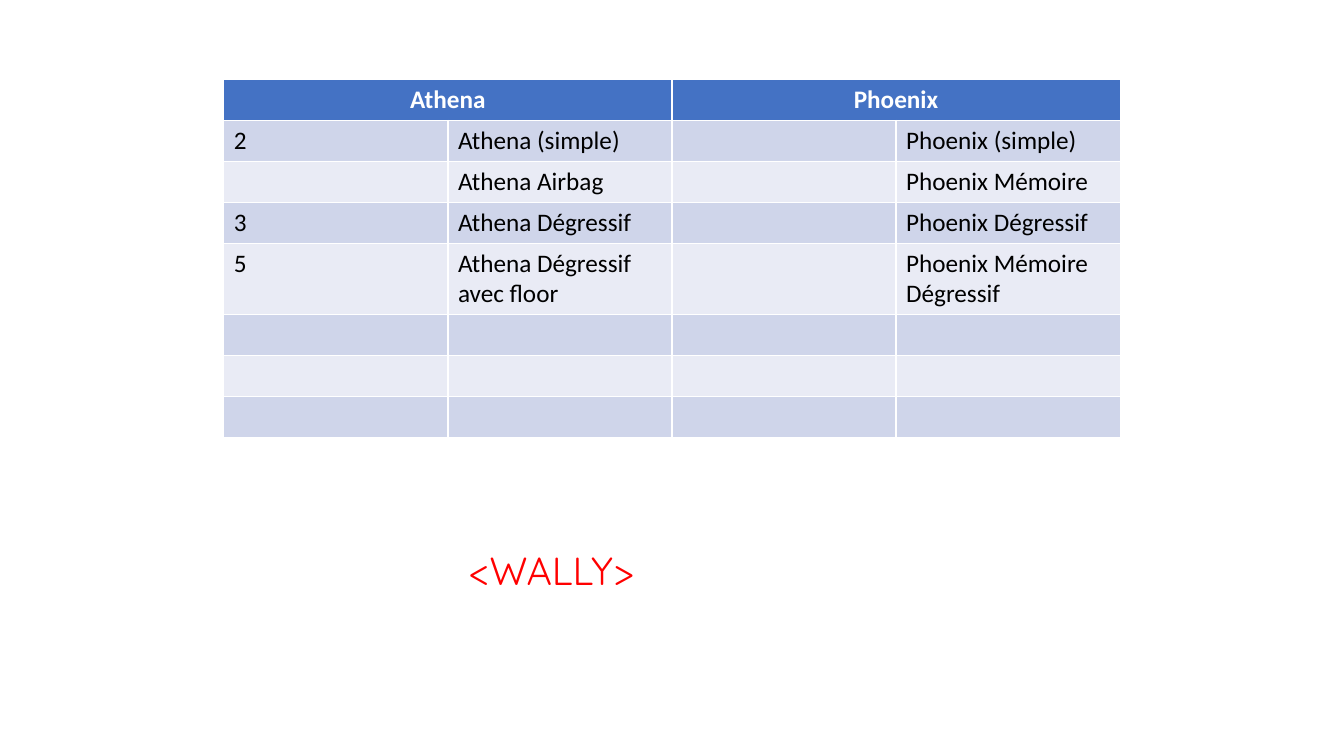
from pptx import Presentation
from pptx.dml.color import RGBColor
from pptx.enum.text import PP_ALIGN
from pptx.util import Inches, Pt

WHITE = RGBColor(0xFF, 0xFF, 0xFF)
BLACK = RGBColor(0x00, 0x00, 0x00)
RED = RGBColor(0xFF, 0x00, 0x00)
BLUE = RGBColor(0x44, 0x72, 0xC4)
BANDS = [RGBColor(0xE9, 0xEB, 0xF5), RGBColor(0xCF, 0xD5, 0xEA)]

HEADS = ["Athena", "Phoenix"]
ROWS = [
    ["2", "Athena (simple)", "", "Phoenix (simple)"],
    ["", "Athena Airbag", "", "Phoenix Mémoire"],
    ["3", "Athena Dégressif", "", "Phoenix Dégressif"],
    ["5", "Athena Dégressif avec floor", "", "Phoenix Mémoire Dégressif"],
] + [[""] * 4] * 3
TALL = 4


class Deck:
    font = "Calibri"
    size = 18

    def __init__(self):
        self.show = Presentation()
        self.show.slide_width = Inches(13.33)
        self.show.slide_height = Inches(7.5)
        self.slide = self.show.slides.add_slide(self.show.slide_layouts[6])

    def fill_text(self, frame, text, color, font=font, size=size, bold=False, align=None):
        frame.text = text
        para = frame.paragraphs[0]
        para.alignment = align
        para.font.size = Pt(size)
        for run in para.runs:
            run.font.name = font
            run.font.size = Pt(size)
            run.font.bold = bold
            run.font.color.rgb = color

    def cell(self, cell, text, fill, color, **style):
        cell.fill.solid()
        cell.fill.fore_color.rgb = fill
        self.fill_text(cell.text_frame, text, color, **style)

    def table(self, left, top, width, height, heads, rows):
        count = len(rows[0])
        grid = self.slide.shapes.add_table(
            len(rows) + 1, count, Inches(left), Inches(top), Inches(width), Inches(height)
        ).table
        span = count // len(heads)
        for i, head in enumerate(heads):
            first = grid.cell(0, i * span)
            first.merge(grid.cell(0, (i + 1) * span - 1))
            self.cell(first, head, BLUE, WHITE, bold=True, align=PP_ALIGN.CENTER)
        for r, row in enumerate(rows, 1):
            for c, text in enumerate(row):
                self.cell(grid.cell(r, c), text, BANDS[r % 2], BLACK)
        return grid

    def label(self, left, top, width, height, text, color, **style):
        box = self.slide.shapes.add_textbox(
            Inches(left), Inches(top), Inches(width), Inches(height)
        )
        box.text_frame.word_wrap = True
        self.fill_text(box.text_frame, text, color, **style)


def main():
    deck = Deck()
    grid = deck.table(2.22, 0.79, 8.89, 3.24, HEADS, ROWS)
    grid.rows[TALL].height = Inches(0.71)
    deck.label(4.19, 5.37, 2.56, 0.57, "<WALLY>", RED,
               font="Quicksand", size=28, align=PP_ALIGN.CENTER)
    deck.show.save("out.pptx")


if __name__ == "__main__":
    main()
